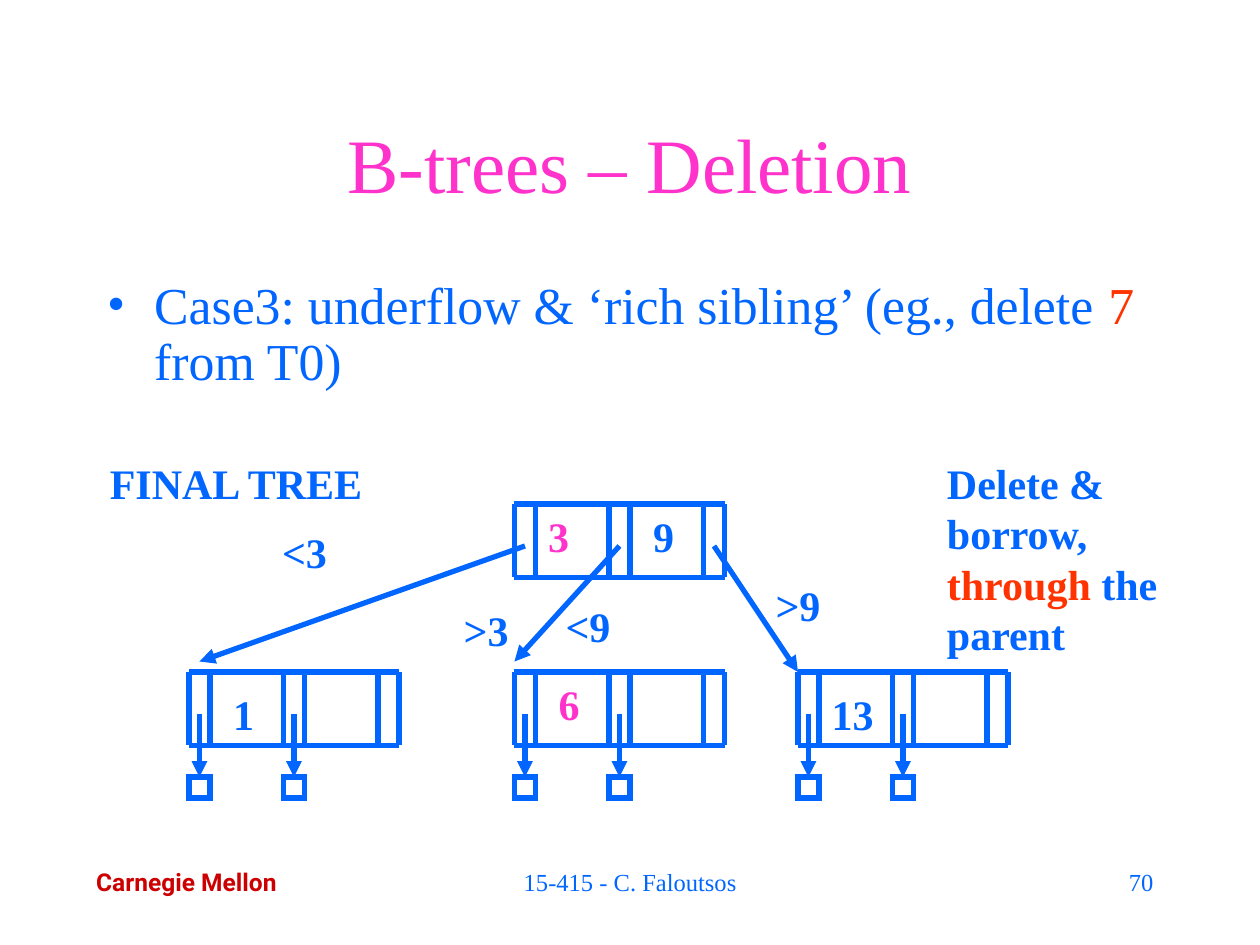
import dataclasses

import pptx
import pptx.dml.color
import pptx.enum.shapes
import pptx.enum.text
import pptx.oxml.ns
import pptx.util
from lxml import etree

Cm, Pt = pptx.util.Cm, pptx.util.Pt
ALIGN = pptx.enum.text.PP_ALIGN
ANCHOR = pptx.enum.text.MSO_ANCHOR
GRID = 2.54 / 12  # the tree is laid out in twelfths of an inch


@dataclasses.dataclass(frozen=True)
class Theme:
    blue: str = "0066FF"
    pink: str = "FF33CC"
    red: str = "FF3300"
    crimson: str = "CC0000"
    white: str = "FFFFFF"
    serif: str = "Times New Roman"
    sans: str = "Roboto"
    title: float = 44
    body: float = 29.6
    label: float = 24
    footer: float = 14
    stroke: float = 3


def rgb(value):
    return pptx.dml.color.RGBColor.from_string(value)


def apply(target, values):
    for name, value in values.items():
        setattr(target, name, value)


def add_xml(parent, tag, **attributes):
    return etree.SubElement(parent, pptx.oxml.ns.qn(tag), attributes)


class TreeSlide:
    POINTER, KEY, HEIGHT = 2, 7, 7  # node parts, in grid units
    STEP = POINTER + KEY
    WIDTH = 2 * STEP + POINTER

    def __init__(self, slide, theme):
        self.slide, self.theme = slide, theme

    def text(self, box, runs, size, align=ALIGN.LEFT, bold=False, font=None,
             wrap=True, anchor=ANCHOR.TOP, bullet=False):
        """Place (text, colour) runs in a box given in centimetres."""
        frame = self.slide.shapes.add_textbox(*map(Cm, box)).text_frame
        apply(frame, {"word_wrap": wrap, "vertical_anchor": anchor})
        paragraph = frame.paragraphs[0]
        if bullet:
            paragraph.line_spacing = 0.9
            properties = paragraph._p.get_or_add_pPr()
            properties.set("marL", str(Cm(0.95)))
            properties.set("indent", str(Cm(-0.95)))
            color = add_xml(properties, "a:buClr")
            add_xml(color, "a:srgbClr", val=self.theme.blue)
            add_xml(properties, "a:buFont", typeface=self.theme.serif)
            add_xml(properties, "a:buChar", char="•")
        paragraph.alignment = align
        for words, color in runs:
            run = paragraph.add_run()
            run.text = words
            apply(run.font, {"name": font or self.theme.serif,
                             "size": Pt(size), "bold": bold})
            run.font.color.rgb = rgb(color)

    def label(self, words, center, top, color=None):
        """Place a bold tree label, centred on a grid position."""
        width = 8
        box = [n * GRID for n in (center - width / 2, top, width, 6)]
        self.text(box, [(words, color or self.theme.blue)], self.theme.label,
                  ALIGN.CENTER, bold=True)

    def outline(self, line):
        line.color.rgb = rgb(self.theme.blue)
        line.width = Pt(self.theme.stroke)
        add_xml(line._get_or_add_ln(), "a:miter", lim="800000")

    def line(self, start, end, arrow=False, shapes=None):
        ends = [Cm(n * GRID) for n in (*start, *end)]
        connector = (shapes or self.slide.shapes).add_connector(
            pptx.enum.shapes.MSO_CONNECTOR.STRAIGHT, *ends)
        self.outline(connector.line)
        if arrow:
            add_xml(connector.line._get_or_add_ln(), "a:tailEnd", type="triangle")
        add_xml(connector._element.spPr, "a:effectLst")

    def node(self, left, top):
        shapes = self.slide.shapes.add_group_shape().shapes
        bottom = top + self.HEIGHT
        for pointer in range(3):
            for side in (0, self.POINTER):
                x = left + pointer * self.STEP + side
                self.line((x, top), (x, bottom), shapes=shapes)
        for y in (top, bottom):
            self.line((left, y), (left + self.WIDTH, y), shapes=shapes)

    def record(self, left, top):
        box = [Cm(n * GRID) for n in (left, top, self.POINTER, self.POINTER)]
        square = self.slide.shapes.add_shape(
            pptx.enum.shapes.MSO_SHAPE.RECTANGLE, *box)
        square.shadow.inherit = False
        square.fill.solid()
        square.fill.fore_color.rgb = rgb(self.theme.white)
        self.outline(square.line)

    def leaf(self, left, top):
        """Draw a node whose first two pointers lead to records."""
        self.node(left, top)
        for pointer in range(2):
            x = left + pointer * self.STEP
            self.line((x + 1, top + 4), (x + 1, top + 10), arrow=True)
            self.record(x, top + 10)


def main():
    deck = pptx.Presentation()
    apply(deck, {"slide_width": Cm(25.4), "slide_height": Cm(19.05)})
    theme = Theme()
    page = TreeSlide(deck.slides.add_slide(deck.slide_layouts[6]), theme)

    page.text((1.69, 17.35, 4.6, 0.86), [("Carnegie Mellon", theme.crimson)],
              theme.footer, bold=True, font=theme.sans, wrap=False)
    page.text((1.9, 1.7, 21.6, 3.18), [("B-trees – Deletion", theme.pink)],
              theme.title, ALIGN.CENTER, anchor=ANCHOR.MIDDLE)
    page.text((1.91, 5.51, 21.8, 2.96),
              [("Case3: underflow & ‘rich sibling’ (eg., delete ", theme.blue),
               ("7", theme.red), (" from T0)", theme.blue)],
              theme.body, bullet=True)

    root_left, root_top, leaf_top = 49, 48, 64
    page.node(root_left, root_top)
    for leaf_left in (76, 49, 18):
        page.leaf(leaf_left, leaf_top)
    for pointer, child in enumerate([(19, 63), (49, 63), (76, 64)]):
        start = (root_left + 1 + pointer * page.STEP, root_top + 4)
        page.line(start, child, arrow=True)

    keys = [("1", 23.2, 65), ("3", 53.2, 48, theme.pink), ("9", 63.2, 48),
            ("13", 81.2, 65), ("6", 54.2, 64, theme.pink)]
    ranges = [("<3", 29, 49.6), (">3", 46.3, 57), ("<9", 56, 56.6),
              (">9", 76, 54.6)]
    for entry in keys + ranges:
        page.label(*entry)

    page.text((18.84, 9.1, 5.92, 4.32),
              [("Delete & borrow, ", theme.blue), ("through", theme.red),
               (" the parent", theme.blue)], theme.label, bold=True)
    page.text((1.27, 9.1, 6.98, 1.27), [("FINAL TREE", theme.blue)],
              theme.label, ALIGN.CENTER, bold=True)
    page.text((8.68, 17.35, 8.05, 1.27), [("15-415 - C. Faloutsos", theme.blue)],
              theme.footer, ALIGN.CENTER)
    page.text((18.2, 17.35, 5.3, 1.27), [("70", theme.blue)],
              theme.footer, ALIGN.RIGHT)

    deck.save("out.pptx")


if __name__ == "__main__":
    main()
